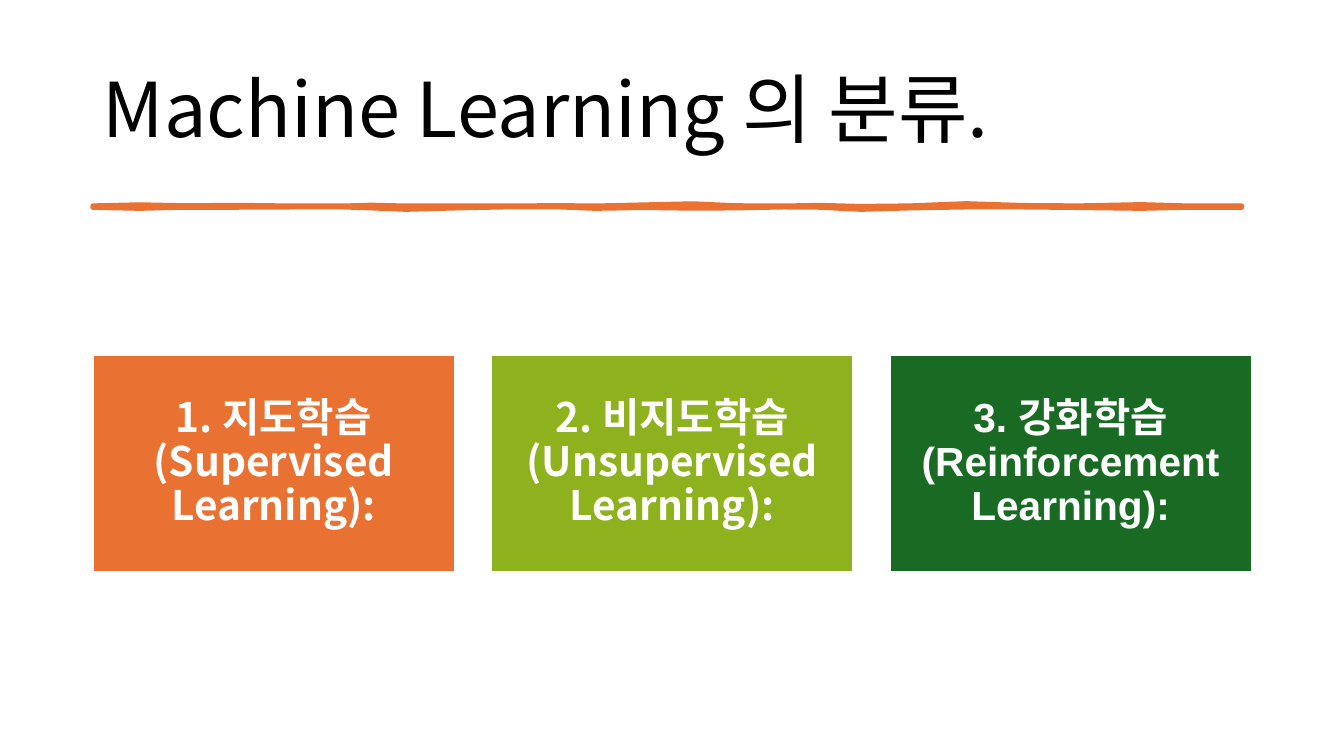
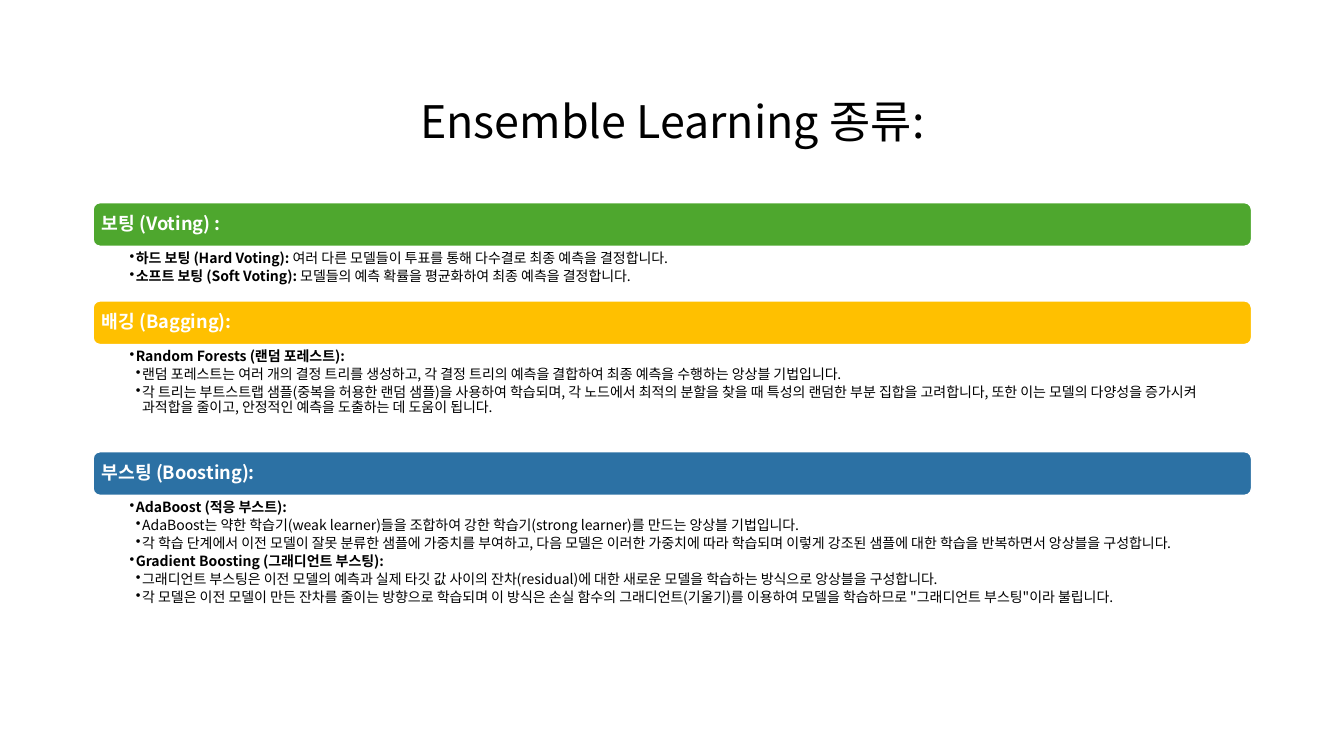
from dataclasses import dataclass

from lxml import etree
from pptx import Presentation
from pptx import util as u
from pptx.dml.color import RGBColor
from pptx.enum import shapes, text
from pptx.oxml.ns import qn


@dataclass(frozen=True)
class Theme:
    black: str = "000000"
    white: str = "FFFFFF"
    orange: str = "E97132"
    lime: str = "8EB21E"
    forest: str = "196B24"
    green: str = "4EA72E"
    gold: str = "FFC000"
    blue: str = "2C71A4"
    font: str = "Noto Sans CJK KR"
    latin_font: str = "Arial"
    large_title: int = 54
    small_title: int = 32
    card: int = 29
    heading: int = 13
    body: int = 10
    left: float = 66.24
    width: float = 828


theme = Theme()
LEFT, CENTER = text.PP_ALIGN.LEFT, text.PP_ALIGN.CENTER


def write(frame, lead, rest="", *, size, color=theme.black, font=theme.font,
          bold=False, align=LEFT, bullet_level=0):
    """Add a paragraph: a lead in the given weight, then a regular rest."""
    paragraph = frame.paragraphs[0]
    if paragraph.runs:
        paragraph = frame.add_paragraph()
    paragraph.alignment = align
    paragraph.line_spacing = 0.9
    paragraph.space_before = u.Pt(0)
    if bullet_level:
        paragraph.level = bullet_level
        paragraph.space_after = u.Pt(2)
        properties = paragraph._p.get_or_add_pPr()
        properties.set("marL", str(u.Pt(4.5 * bullet_level)))
        properties.set("indent", str(u.Pt(-4.5)))
        etree.SubElement(properties, qn("a:buChar"), char="•")
    for words, weight in ((lead, bold), (rest, False)):
        if not words:
            continue
        run = paragraph.add_run()
        run.text = words
        run.font.name = font
        run.font.size = u.Pt(size)
        run.font.bold = weight
        run.font.color.rgb = RGBColor.from_string(color)
        east_asian = etree.SubElement(run._r.get_or_add_rPr(), qn("a:ea"))
        east_asian.set("typeface", theme.font)


def add_panel(slide, kind, left, top, width, height, color, inset):
    """Add a filled panel with a white outline and return its text frame."""
    shape = slide.shapes.add_shape(
        kind, u.Pt(left), u.Pt(top), u.Pt(width), u.Pt(height))
    shape.shadow.inherit = False
    shape.fill.solid()
    shape.fill.fore_color.rgb = RGBColor.from_string(color)
    shape.line.color.rgb = RGBColor.from_string(theme.white)
    shape.line.width = u.Pt(1.5)
    frame = shape.text_frame
    frame.word_wrap = True
    frame.vertical_anchor = text.MSO_ANCHOR.MIDDLE
    frame.margin_left = frame.margin_right = u.Pt(inset)
    frame.margin_top = frame.margin_bottom = u.Pt(inset)
    return frame


presentation = Presentation()
presentation.slide_width = u.Pt(960)
presentation.slide_height = u.Pt(540)

# Slides with their titles
titles = [
    ("Machine Learning 의 분류.", theme.large_title, LEFT, 28.8, 104.4),
    ("Ensemble Learning 종류:", theme.small_title, CENTER, 43.9, 89.3),
]
slides = []
for title, size, align, top, height in titles:
    slide = presentation.slides.add_slide(presentation.slide_layouts[5])
    placeholder = slide.shapes.title
    placeholder.left, placeholder.top = u.Pt(theme.left), u.Pt(top)
    placeholder.width, placeholder.height = u.Pt(theme.width), u.Pt(height)
    frame = placeholder.text_frame
    frame.auto_size = text.MSO_AUTO_SIZE.NONE
    frame.vertical_anchor = text.MSO_ANCHOR.MIDDLE
    write(frame, title, size=size, align=align)
    slides.append(slide)
classification, ensemble = slides

# Hand-drawn rule under the first title: x, upper edge, lower edge
stroke = [
    (66.24, 146.9, 148.3), (100, 146.1, 149), (130, 146.8, 148.2),
    (170, 146.5, 148.2), (210, 147, 148), (245, 147, 148),
    (265, 146.4, 148.7), (290, 147, 149.7), (330, 146.9, 148.6),
    (360, 147, 148), (400, 146.7, 148), (425, 147, 149),
    (460, 146.2, 148.4), (495, 145.4, 148.9), (525, 146.8, 148.7),
    (560, 147, 148), (585, 146.5, 148.2), (615, 147.3, 149.7),
    (650, 146.9, 148.7), (690, 145.3, 148), (730, 146.6, 148),
    (770, 146.9, 148.4), (815, 146, 149), (850, 147, 148.2),
    (887, 147, 148.3),
]
upper = [(u.Pt(x), u.Pt(y)) for x, y, _ in stroke]
lower = [(u.Pt(x), u.Pt(y)) for x, _, y in reversed(stroke)]
builder = classification.shapes.build_freeform(*upper[0], scale=1.0)
builder.add_line_segments(upper[1:] + lower, close=True)
rule = builder.convert_to_shape()
rule.shadow.inherit = False
rule.fill.solid()
rule.fill.fore_color.rgb = RGBColor.from_string(theme.orange)
rule.line.color.rgb = RGBColor.from_string(theme.orange)
rule.line.width = u.Pt(3.25)

# Three cards, with gaps of a tenth of a card
cards = [
    ("1. 지도학습 (Supervised Learning):", theme.orange, theme.font),
    ("2. 비지도학습 (Unsupervised Learning):", theme.lime, theme.font),
    ("3. 강화학습 (Reinforcement Learning):", theme.forest, theme.latin_font),
]
card_width = theme.width / 3.2
for index, (label, color, font) in enumerate(cards):
    frame = add_panel(classification, shapes.MSO_SHAPE.RECTANGLE,
                      theme.left + index * card_width * 1.1, 253.4,
                      card_width, 155.2, color, 8.6)
    write(frame, label, size=theme.card, color=theme.white, font=font,
          bold=True, align=CENTER)

# Ensemble sections: heading, colour, top, body height, bullets
# Each bullet: level, bold lead, regular rest
sections = [
    ("보팅 (Voting) :", theme.green, 144.5, 38.2, [
        (1, "하드 보팅 (Hard Voting):",
         " 여러 다른 모델들이 투표를 통해 다수결로 최종 예측을 결정합니다."),
        (1, "소프트 보팅 (Soft Voting):",
         " 모델들의 예측 확률을 평균화하여 최종 예측을 결정합니다."),
    ]),
    ("배깅 (Bagging):", theme.gold, 214.7, 74.2, [
        (1, "Random Forests (랜덤 포레스트):", ""),
        (2, "", "랜덤 포레스트는 여러 개의 결정 트리를 생성하고, 각 결정 트리의 "
         "예측을 결합하여 최종 예측을 수행하는 앙상블 기법입니다."),
        (2, "", "각 트리는 부트스트랩 샘플(중복을 허용한 랜덤 샘플)을 사용하여 "
         "학습되며, 각 노드에서 최적의 분할을 찾을 때 특성의 랜덤한 부분 집합을 "
         "고려합니다, 또한 이는 모델의 다양성을 증가시켜 과적합을 줄이고, "
         "안정적인 예측을 도출하는 데 도움이 됩니다."),
    ]),
    ("부스팅 (Boosting):", theme.blue, 322.4, 129.6, [
        (1, "AdaBoost (적응 부스트):", ""),
        (2, "", "AdaBoost는 약한 학습기(weak learner)들을 조합하여 강한 "
         "학습기(strong learner)를 만드는 앙상블 기법입니다."),
        (2, "", "각 학습 단계에서 이전 모델이 잘못 분류한 샘플에 가중치를 "
         "부여하고, 다음 모델은 이러한 가중치에 따라 학습되며 이렇게 강조된 "
         "샘플에 대한 학습을 반복하면서 앙상블을 구성합니다."),
        (1, "Gradient Boosting (그래디언트 부스팅):", ""),
        (2, "", "그래디언트 부스팅은 이전 모델의 예측과 실제 타깃 값 사이의 "
         "잔차(residual)에 대한 새로운 모델을 학습하는 방식으로 앙상블을 "
         "구성합니다."),
        (2, "", "각 모델은 이전 모델이 만든 잔차를 줄이는 방향으로 학습되며 이 "
         "방식은 손실 함수의 그래디언트(기울기)를 이용하여 모델을 학습하므로 "
         "\"그래디언트 부스팅\"이라 불립니다."),
    ]),
]
bar_height = 31.7
for heading, color, top, body_height, bullets in sections:
    frame = add_panel(ensemble, shapes.MSO_SHAPE.ROUNDED_RECTANGLE,
                      theme.left, top, theme.width, bar_height, color, 5)
    write(frame, heading, size=theme.heading, color=theme.white, bold=True)

    body = ensemble.shapes.add_textbox(
        u.Pt(theme.left), u.Pt(top + bar_height + 2),
        u.Pt(theme.width), u.Pt(body_height))
    frame = body.text_frame
    frame.word_wrap = True
    frame.margin_left, frame.margin_right = u.Pt(26.3), u.Pt(7.2)
    frame.margin_top = frame.margin_bottom = u.Pt(1.3)
    for level, lead, rest in bullets:
        write(frame, lead, rest, size=theme.body, bold=True,
              bullet_level=level)

presentation.save("out.pptx")
